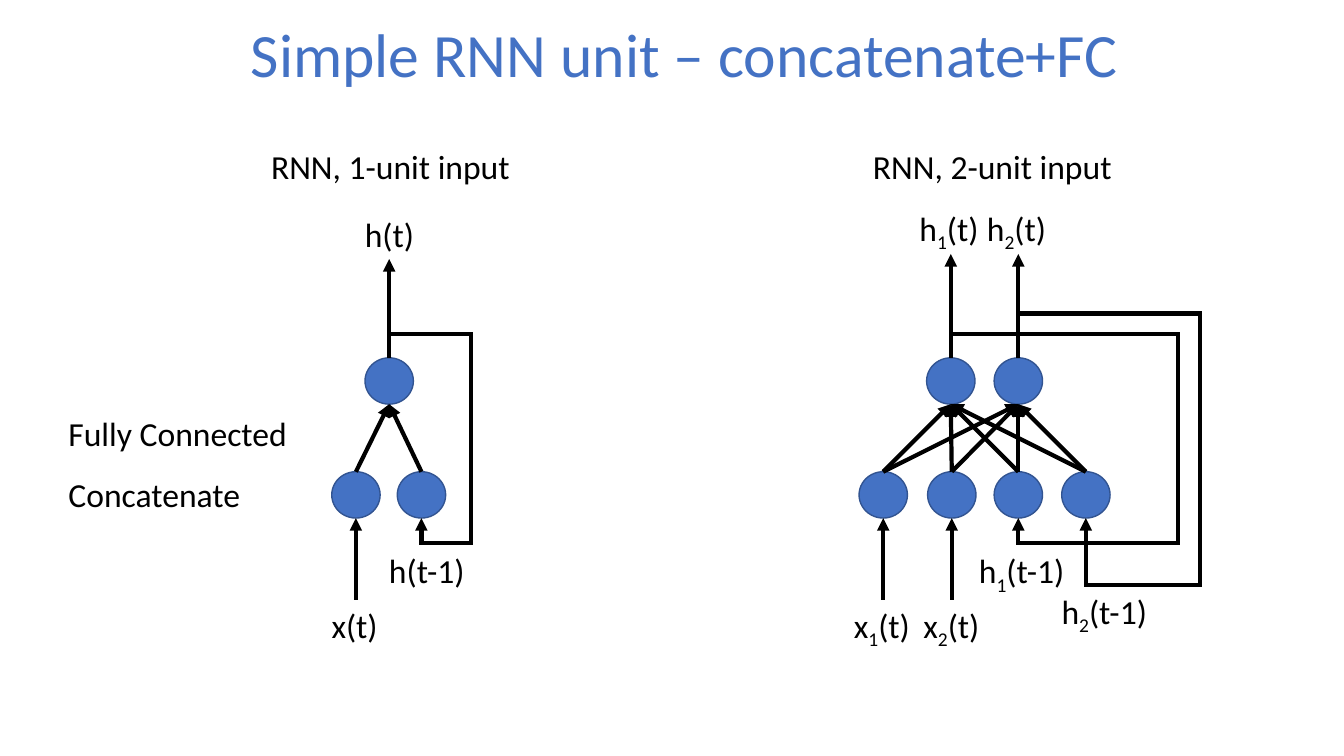
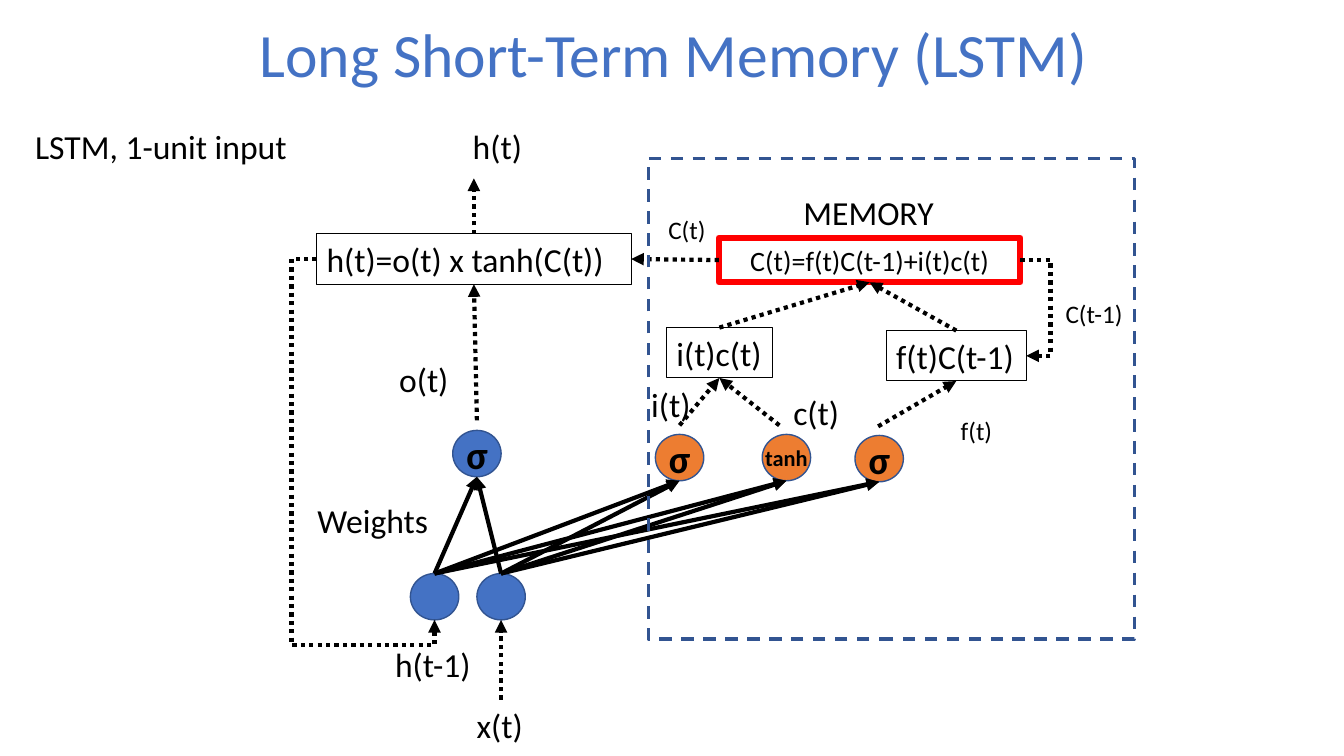
from dataclasses import dataclass
from itertools import product
from typing import NamedTuple, Optional, Sequence, Union

from lxml import etree
from pptx import Presentation
from pptx import util as u
from pptx.dml.color import RGBColor
from pptx.enum import dml, shapes, text
from pptx.oxml.ns import qn

BLUE = RGBColor(0x44, 0x72, 0xC4)
OUTLINE = RGBColor(0x32, 0x54, 0x91)
ORANGE = RGBColor(0xED, 0x7D, 0x31)
RED = RGBColor(0xFF, 0x00, 0x00)
BLACK = RGBColor(0x00, 0x00, 0x00)
FONT = "Calibri"
NODE_WIDTH, NODE_HEIGHT = 0.48, 0.46
LABEL_HEIGHTS = {24: 0.5, 18: 0.4}
TOP, LEFT, BOTTOM, RIGHT = range(4)
DOTTED = dml.MSO_LINE.ROUND_DOT


class Point(NamedTuple):
    x: float
    y: float


class Joint(NamedTuple):
    shape: object
    side: int


End = Union[Point, Joint]


@dataclass(frozen=True)
class Node:
    x: float
    y: float
    caption: str = ""
    size: int = 28
    color: RGBColor = BLUE

    @property
    def top(self) -> Point:
        return Point(self.x, self.y - NODE_HEIGHT / 2)

    @property
    def bottom(self) -> Point:
        return Point(self.x, self.y + NODE_HEIGHT / 2)


@dataclass(frozen=True)
class Label:
    caption: str
    left: float
    top: float
    width: float
    size: int = 24


@dataclass(frozen=True)
class Box:
    caption: str
    left: float
    top: float
    width: float
    height: float = 0.5
    size: int = 24
    color: RGBColor = BLACK
    line_width: float = 0.75
    centred: bool = False
    wrap: bool = False


def set_font(paragraph, size: float, color: RGBColor = BLACK, bold: bool = False) -> None:
    font = paragraph.font
    font.name, font.size, font.bold = FONT, u.Pt(size), bold
    font.color.rgb = color


def set_line(shape, color: RGBColor, width: float, dash=None) -> None:
    shape.line.color.rgb = color
    shape.line.width = u.Pt(width)
    if dash is not None:
        shape.line.dash_style = dash


def add_arrowhead(shape) -> None:
    line = shape.element.spPr.get_or_add_ln()
    etree.SubElement(line, qn("a:miter"), lim="800000")
    etree.SubElement(line, qn("a:tailEnd"), type="triangle")


def add_titled_slide(presentation, title: str, left: float, width: float):
    slide = presentation.slides.add_slide(presentation.slide_layouts[5])
    shape = slide.shapes.title
    shape.left, shape.top = u.Inches(left), u.Inches(-0.15)
    shape.width, shape.height = u.Inches(width), u.Inches(1.45)
    frame = shape.text_frame
    frame.text = title
    frame.auto_size = text.MSO_AUTO_SIZE.NONE
    frame.vertical_anchor = text.MSO_ANCHOR.MIDDLE
    paragraph = frame.paragraphs[0]
    paragraph.alignment = text.PP_ALIGN.CENTER
    paragraph.line_spacing = 0.9
    set_font(paragraph, 44, BLUE)
    return slide


def add_preset(slide, kind, left: float, top: float, width: float, height: float):
    shape = slide.shapes.add_shape(
        kind, u.Inches(left), u.Inches(top), u.Inches(width), u.Inches(height))
    shape.shadow.inherit = False
    shape.fill.background()
    return shape


def add_node(slide, node: Node) -> None:
    shape = add_preset(slide, shapes.MSO_SHAPE.OVAL, node.x - NODE_WIDTH / 2,
                       node.top.y, NODE_WIDTH, NODE_HEIGHT)
    shape.fill.solid()
    shape.fill.fore_color.rgb = node.color
    set_line(shape, OUTLINE, 1)
    if node.caption:
        frame = shape.text_frame
        frame.margin_left = frame.margin_right = frame.margin_top = frame.margin_bottom = 0
        frame.word_wrap = False
        frame.vertical_anchor = text.MSO_ANCHOR.MIDDLE
        paragraph = frame.paragraphs[0]
        paragraph.text = node.caption
        paragraph.alignment = text.PP_ALIGN.CENTER
        set_font(paragraph, node.size, bold=True)


def add_label(slide, label: Label) -> None:
    shape = slide.shapes.add_textbox(
        u.Inches(label.left), u.Inches(label.top),
        u.Inches(label.width), u.Inches(LABEL_HEIGHTS[label.size]))
    frame = shape.text_frame
    frame.word_wrap = False
    frame.auto_size = text.MSO_AUTO_SIZE.SHAPE_TO_FIT_TEXT
    paragraph = frame.paragraphs[0]
    for index, piece in enumerate(label.caption.split("_")):
        run = paragraph.add_run()
        run.text = piece
        if index % 2:
            run.font._element.set("baseline", "-25000")
    set_font(paragraph, label.size)


def add_box(slide, box: Box):
    shape = add_preset(slide, shapes.MSO_SHAPE.RECTANGLE,
                       box.left, box.top, box.width, box.height)
    set_line(shape, box.color, box.line_width)
    frame = shape.text_frame
    frame.word_wrap = box.wrap
    frame.vertical_anchor = text.MSO_ANCHOR.MIDDLE if box.centred else text.MSO_ANCHOR.TOP
    paragraph = frame.paragraphs[0]
    paragraph.text = box.caption
    paragraph.alignment = text.PP_ALIGN.CENTER if box.centred else text.PP_ALIGN.LEFT
    set_font(paragraph, box.size)
    return shape


def add_arrow(slide, start: End, end: End, dash=None) -> None:
    points = [end_ if isinstance(end_, Point) else Point(0, 0) for end_ in (start, end)]
    connector = slide.shapes.add_connector(
        shapes.MSO_CONNECTOR.STRAIGHT,
        *(u.Inches(value) for point in points for value in point))
    if isinstance(start, Joint):
        connector.begin_connect(start.shape, start.side)
    if isinstance(end, Joint):
        connector.end_connect(end.shape, end.side)
    set_line(connector, BLACK, 3, dash)
    add_arrowhead(connector)
    etree.SubElement(connector.element.spPr, qn("a:effectLst"))


def add_bent_arrow(slide, points: Sequence[Point], dash=None) -> None:
    corners = [(u.Inches(x), u.Inches(y)) for x, y in points]
    builder = slide.shapes.build_freeform(*corners[0])
    builder.add_line_segments(corners[1:], close=False)
    shape = builder.convert_to_shape()
    shape.shadow.inherit = False
    shape.fill.background()
    set_line(shape, BLACK, 3, dash)
    add_arrowhead(shape)


def add_feedback(slide, source: Node, target: Node, upper: float, right: float,
                 lower: float) -> None:
    add_bent_arrow(slide, [source.top, Point(source.x, upper), Point(right, upper),
                           Point(right, lower), Point(target.x, lower), target.bottom])


def connect_layers(slide, lower: Sequence[Node], upper: Sequence[Node]) -> None:
    for source, target in product(lower, upper):
        add_arrow(slide, source.top, target.bottom)


def add_recurrent_unit(slide, inputs: Sequence[Node], states: Sequence[Node],
                       outputs: Sequence[Node], output_end: float) -> None:
    for node in (*inputs, *states, *outputs):
        add_node(slide, node)
    connect_layers(slide, (*inputs, *states), outputs)
    for node in inputs:
        add_arrow(slide, Point(node.x, 5.95), node.bottom)
    for node in outputs:
        add_arrow(slide, node.top, Point(node.x, output_end))


def build_rnn_slide(presentation) -> None:
    slide = add_titled_slide(presentation, "Simple RNN unit – concatenate+FC", 1.04, 11.5)
    lower, upper = 4.91, 3.78

    state, output = Node(4.18, lower), Node(3.86, upper)
    add_recurrent_unit(slide, [Node(3.53, lower)], [state], [output], 2.57)
    add_feedback(slide, output, state, 3.31, 4.67, 5.39)

    inputs = [Node(x, lower) for x in (8.76, 9.44)]
    states = [Node(x, lower) for x in (10.1, 10.77)]
    outputs = [Node(x, upper) for x in (9.43, 10.1)]
    add_recurrent_unit(slide, inputs, states, outputs, 2.52)
    add_feedback(slide, outputs[0], states[0], 3.31, 11.68, 5.39)
    add_feedback(slide, outputs[1], states[1], 3.11, 11.9, 5.8)

    for label in (
        Label("RNN, 1-unit input", 2.59, 1.4, 2.59),
        Label("RNN, 2-unit input", 8.56, 1.4, 2.59),
        Label("h(t)", 3.52, 2.07, 0.69),
        Label("x(t)", 3.19, 5.95, 0.66),
        Label("h(t-1)", 3.76, 5.41, 0.97),
        Label("Fully Connected", 0.58, 4.05, 2.39),
        Label("Concatenate", 0.58, 4.65, 1.92),
        Label("h_1_(t)", 9.02, 2.01, 0.81),
        Label("h_2_(t)", 9.69, 2.01, 0.81),
        Label("x_1_(t)", 8.37, 5.95, 0.78),
        Label("x_2_(t)", 9.06, 5.95, 0.78),
        Label("h_1_(t-1)", 9.61, 5.41, 1.08),
        Label("h_2_(t-1)", 10.43, 5.81, 1.08),
    ):
        add_label(slide, label)


def build_lstm_slide(presentation) -> None:
    slide = add_titled_slide(presentation, "Long Short-Term Memory (LSTM)", 0.35, 12.67)

    state, data = Node(4.31, 5.92), Node(4.97, 5.92)
    gates = [
        Node(4.73, 4.5, "σ"),
        Node(6.74, 4.54, "σ", color=ORANGE),
        Node(7.8, 4.54, "tanh", 16, ORANGE),
        Node(8.72, 4.55, "σ", color=ORANGE),
    ]
    for node in (state, data, *gates):
        add_node(slide, node)
    connect_layers(slide, [state, data], gates)

    output = add_box(slide, Box("h(t)=o(t) x tanh(C(t))", 3.14, 2.32, 3.12, wrap=True))
    new_input = add_box(slide, Box("i(t)c(t)", 6.61, 3.25, 1.05))
    kept = add_box(slide, Box("f(t)C(t-1)", 8.79, 3.28, 1.39))
    cell = add_box(slide, Box("C(t)=f(t)C(t-1)+i(t)c(t)", 7.13, 2.36, 2.99, 0.44, 20,
                              RED, 4.5, centred=True, wrap=True))
    for start, end in (
        (Point(4.97, 6.94), data.bottom),
        (Point(4.73, 4.17), Joint(output, BOTTOM)),
        (Joint(output, TOP), Point(4.7, 1.77)),
        (Point(6.74, 4.22), Joint(new_input, BOTTOM)),
        (Point(7.73, 4.22), Joint(new_input, BOTTOM)),
        (Point(8.71, 4.23), Joint(kept, BOTTOM)),
        (Joint(new_input, TOP), Joint(cell, BOTTOM)),
        (Joint(kept, TOP), Joint(cell, BOTTOM)),
        (Joint(cell, LEFT), Joint(output, RIGHT)),
    ):
        add_arrow(slide, start, end, DOTTED)
    add_bent_arrow(slide, [Point(3.14, 2.57), Point(2.89, 2.57), Point(2.89, 6.4),
                           Point(state.x, 6.4), state.bottom], DOTTED)
    add_bent_arrow(slide, [Point(10.12, 2.58), Point(10.42, 2.58), Point(10.42, 3.53),
                           Point(10.18, 3.53)], DOTTED)

    for label in (
        Label("LSTM, 1-unit input", 0.25, 1.2, 2.72),
        Label("h(t)", 4.59, 1.2, 0.69),
        Label("x(t)", 4.63, 6.94, 0.66),
        Label("h(t-1)", 3.82, 6.34, 0.97),
        Label("o(t)", 3.86, 3.51, 0.69),
        Label("Weights", 3.05, 4.91, 1.31),
        Label("i(t)", 6.36, 3.76, 0.59),
        Label("c(t)", 7.77, 3.84, 0.66),
        Label("MEMORY", 7.87, 1.85, 1.51),
        Label("f(t)", 9.43, 4.07, 0.52, 18),
        Label("C(t-1)", 10.47, 2.91, 0.78, 18),
        Label("C(t)", 6.53, 2.08, 0.58, 18),
    ):
        add_label(slide, label)
    memory = add_preset(slide, shapes.MSO_SHAPE.RECTANGLE, 6.43, 1.57, 4.82, 4.77)
    set_line(memory, OUTLINE, 2.25, dml.MSO_LINE.DASH)


def main() -> None:
    presentation = Presentation()
    presentation.slide_width, presentation.slide_height = u.Inches(13.33), u.Inches(7.5)
    build_rnn_slide(presentation)
    build_lstm_slide(presentation)
    presentation.save("out.pptx")


if __name__ == "__main__":
    main()
